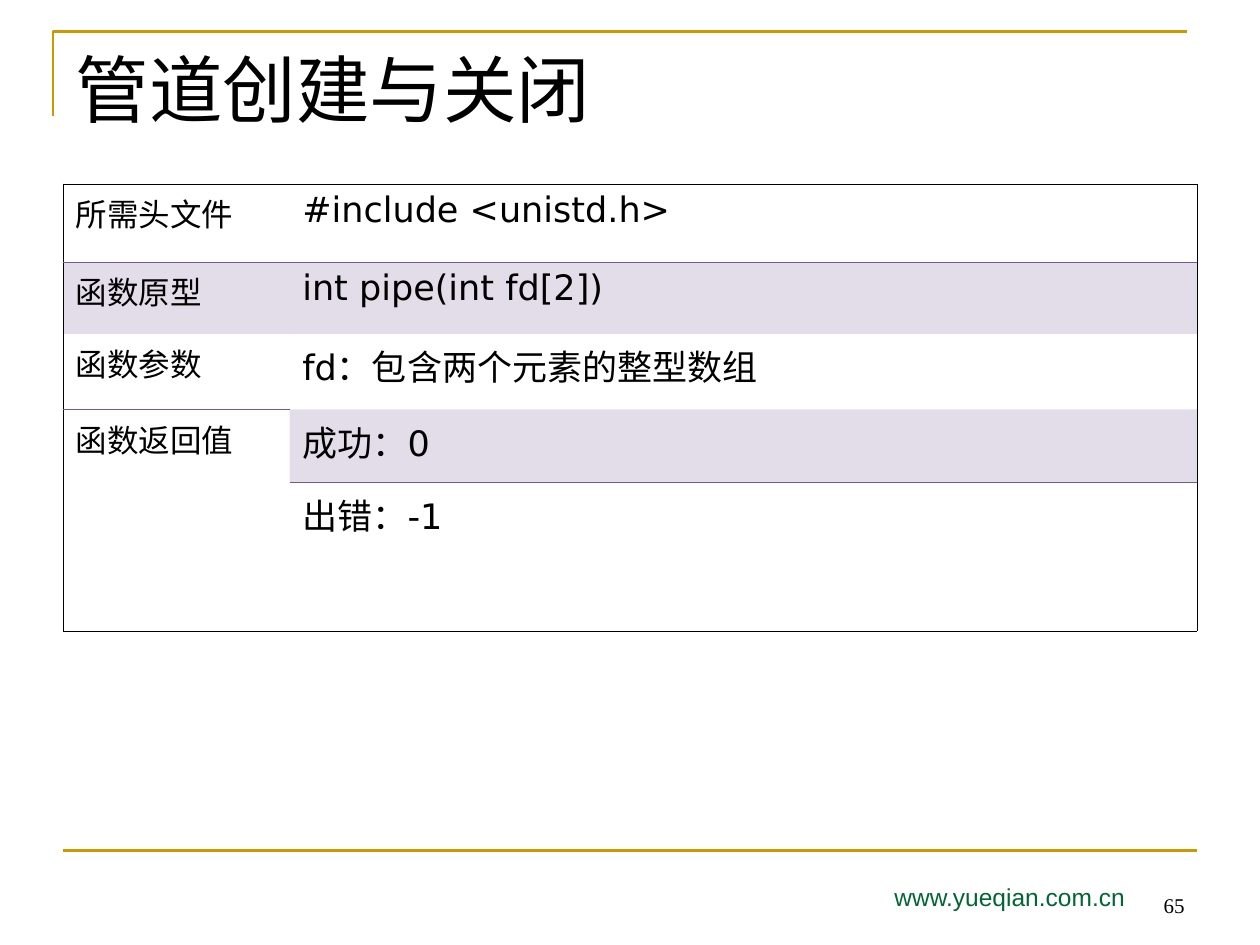
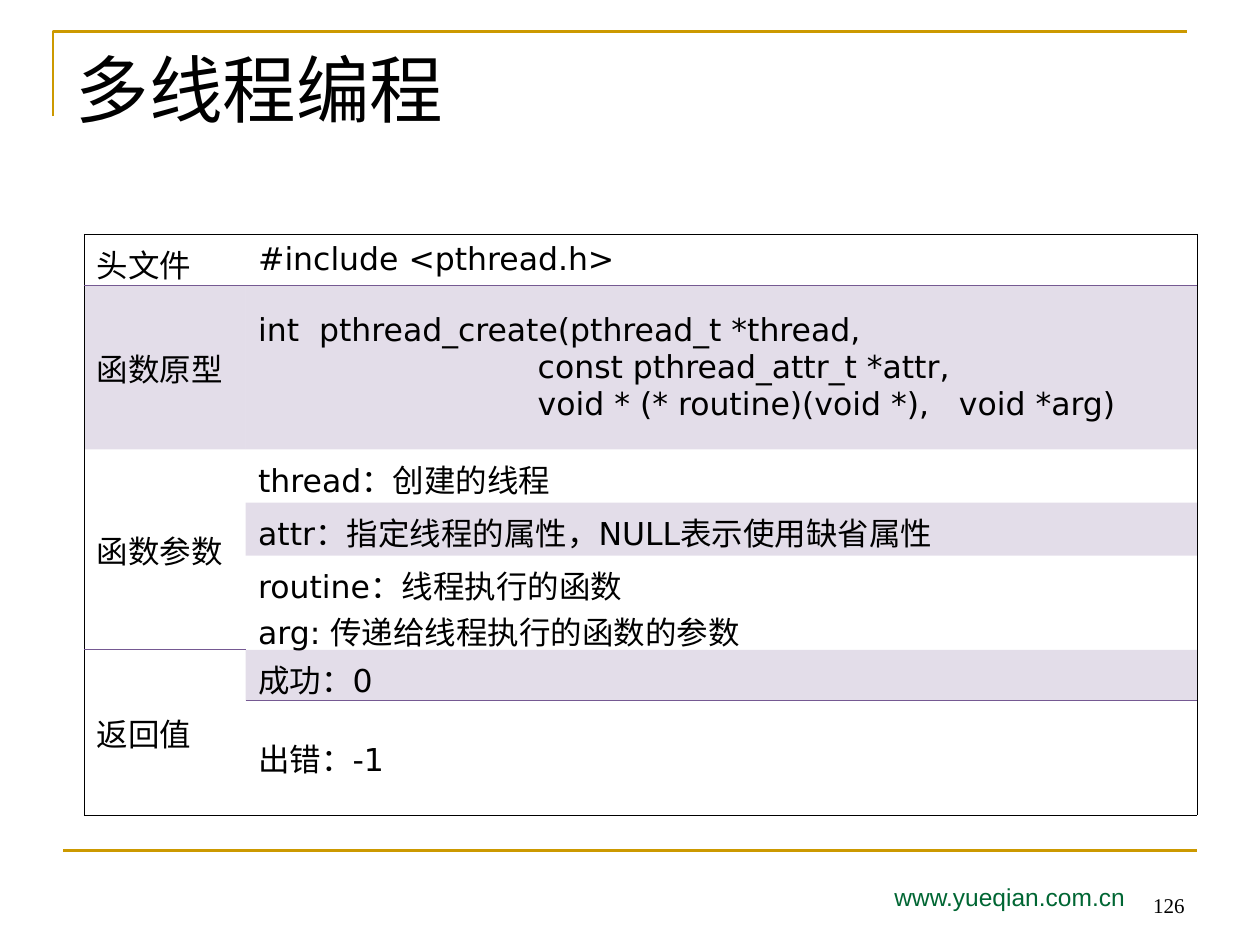
"""Build two slides that describe the pipe and pthread_create calls."""
from lxml import etree
from pptx import Presentation
from pptx import util as u
from pptx.dml.color import RGBColor
from pptx.enum import shapes, text
from pptx.oxml.ns import qn

COLOURS = {"gold": "CC9900", "green": "006633", "purple": "755992", "black": "000000"}
NO_TABLE_STYLE = "{2D5ABB26-0587-4C30-8999-92F81FD0307C}"

TITLE = {"size": u.Pt(42), "name": "Times New Roman", "bold": False}
ADDRESS = {"size": u.Pt(14), "name": "Arial"}
NUMBER = {"size": u.Pt(12), "name": "Times New Roman"}

PAGES = [
    {
        "title": "管道创建与关闭",
        "number": "65",
        "place": (1.27, 3.71),
        "columns": [4.57, 18.29],
        "heights": [1.57, 1.45, 1.52, 1.47, 3.0],
        "sizes": [18, 20],
        "anchor": text.MSO_ANCHOR.TOP,
        "shaded": [(1, 0), (1, 1), (3, 1)],
        "merges": [(3, 4)],
        "rows": [
            ("所需头文件", "#include <unistd.h>"),
            ("函数原型", "int pipe(int fd[2])"),
            ("函数参数", "fd：包含两个元素的整型数组"),
            ("函数返回值", "成功：0"),
            (None, "出错：-1"),
        ],
    },
    {
        "title": "多线程编程",
        "number": "126",
        "place": (1.7, 4.72),
        "columns": [3.25, 19.18],
        "heights": [1.04, 3.3, 1.07, 1.07, 1.9, 1.02, 2.31],
        "sizes": [18, 18],
        "anchor": text.MSO_ANCHOR.MIDDLE,
        "shaded": [(1, 0), (1, 1), (3, 1), (5, 1)],
        "merges": [(2, 4), (5, 6)],
        "rows": [
            ("头文件", "#include <pthread.h>"),
            ("函数原型", "int  pthread_create(pthread_t *thread,\n"
                     "                            const pthread_attr_t *attr,\n"
                     "                            void * (* routine)(void *),   void *arg)"),
            ("函数参数", "thread：创建的线程"),
            (None, "attr：指定线程的属性，NULL表示使用缺省属性"),
            (None, "routine：线程执行的函数\narg: 传递给线程执行的函数的参数"),
            ("返回值", "成功：0"),
            (None, "出错：-1"),
        ],
    },
]


def write(frame, words, style, colour="black", align=text.PP_ALIGN.LEFT):
    """Fill a text frame with one formatted paragraph per line."""
    frame.word_wrap = True
    for index, line in enumerate(words.split("\n")):
        para = frame.paragraphs[0] if index == 0 else frame.add_paragraph()
        para.alignment = align
        span = para.add_run()
        span.text = line
        for key, value in style.items():
            setattr(span.font, key, value)
        span.font.color.rgb = RGBColor.from_string(COLOURS[colour])


def add_border(cell, side, colour):
    """Draw one thin border of a table cell."""
    properties = cell._tc.get_or_add_tcPr()
    line = etree.SubElement(properties, qn(f"a:ln{side}"), w=str(u.Pt(0.45)))
    if colour is None:
        etree.SubElement(line, qn("a:noFill"))
    else:
        fill = etree.SubElement(line, qn("a:solidFill"))
        etree.SubElement(fill, qn("a:srgbClr"), val=COLOURS[colour])


deck = Presentation()
deck.slide_width, deck.slide_height = u.Cm(25.4), u.Cm(19.05)

for content in PAGES:
    page = deck.slides.add_slide(deck.slide_layouts[5])

    outline = page.shapes.build_freeform(u.Cm(1.07), u.Cm(2.34))
    outline.add_line_segments([(u.Cm(1.07), u.Cm(0.64)), (u.Cm(23.93), u.Cm(0.64))], close=False)
    corner = outline.convert_to_shape()
    corner.shadow.inherit = False
    corner.fill.background()
    footer_rule = page.shapes.add_connector(
        shapes.MSO_CONNECTOR.STRAIGHT, u.Cm(1.27), u.Cm(17.15), u.Cm(24.13), u.Cm(17.15))
    etree.SubElement(footer_rule._element.spPr, qn("a:effectLst"))
    for rule in (corner, footer_rule):
        rule.line.color.rgb = RGBColor.from_string(COLOURS["gold"])
        rule.line.width = u.Pt(1.5)

    address = page.shapes.add_textbox(u.Cm(17.78), u.Cm(17.65), u.Cm(6.35), u.Cm(1.02))
    write(address.text_frame, "www.yueqian.com.cn", ADDRESS, "green")

    title = page.shapes.title
    title.left, title.top, title.width, title.height = map(u.Cm, (1.27, 0.76, 22.86, 3.18))
    title.text_frame.vertical_anchor = text.MSO_ANCHOR.TOP
    title.text_frame.auto_size = text.MSO_AUTO_SIZE.NONE
    write(title.text_frame, content["title"], TITLE)

    count = len(content["rows"])
    left, top = content["place"]
    holder = page.shapes.add_table(
        count, 2, u.Cm(left), u.Cm(top),
        u.Cm(sum(content["columns"])), u.Cm(sum(content["heights"])))
    table = holder.table
    table.first_row = table.horz_banding = False
    table._tbl.tblPr.find(qn("a:tableStyleId")).text = NO_TABLE_STYLE
    for column, width in zip(table.columns, content["columns"]):
        column.width = u.Cm(width)
    for row, height in zip(table.rows, content["heights"]):
        row.height = u.Cm(height)
    for first, last in content["merges"]:
        table.cell(first, 0).merge(table.cell(last, 0))

    edges = {(count - 2, 0): "purple", (count - 1, 1): "purple"}
    for column in range(2):
        edges.update({(0, column): "black", (1, column): "purple", (count, column): "black"})

    for row, labels in enumerate(content["rows"]):
        for column, words in enumerate(labels):
            cell = table.cell(row, column)
            end = row + (cell.span_height if cell.is_merge_origin else 1)
            add_border(cell, "L", "black" if column == 0 else None)
            add_border(cell, "R", "black" if column == 1 else None)
            add_border(cell, "T", edges.get((row, column)))
            add_border(cell, "B", edges.get((end, column)))
            if (row, column) in content["shaded"]:
                cell.fill.solid()
                cell.fill.fore_color.rgb = RGBColor.from_string(COLOURS["purple"])
                tint = cell._tc.tcPr.find(f"{qn('a:solidFill')}/{qn('a:srgbClr')}")
                etree.SubElement(tint, qn("a:alpha"), val="20000")
            else:
                cell.fill.background()
            if words is None:
                continue
            cell.vertical_anchor = content["anchor"]
            write(cell.text_frame, words,
                  {"size": u.Pt(content["sizes"][column]), "name": "DejaVu Sans"})
            for para in cell.text_frame.paragraphs:
                indent = para._p.get_or_add_pPr()
                indent.set("marL", str(u.Cm(0.76)))
                indent.set("indent", str(-u.Cm(0.76)))

    number = page.shapes.add_textbox(u.Cm(18.21), u.Cm(17.35), u.Cm(5.92), u.Cm(1.27))
    number.text_frame.vertical_anchor = text.MSO_ANCHOR.BOTTOM
    write(number.text_frame, content["number"], NUMBER, align=text.PP_ALIGN.RIGHT)

deck.save("out.pptx")
